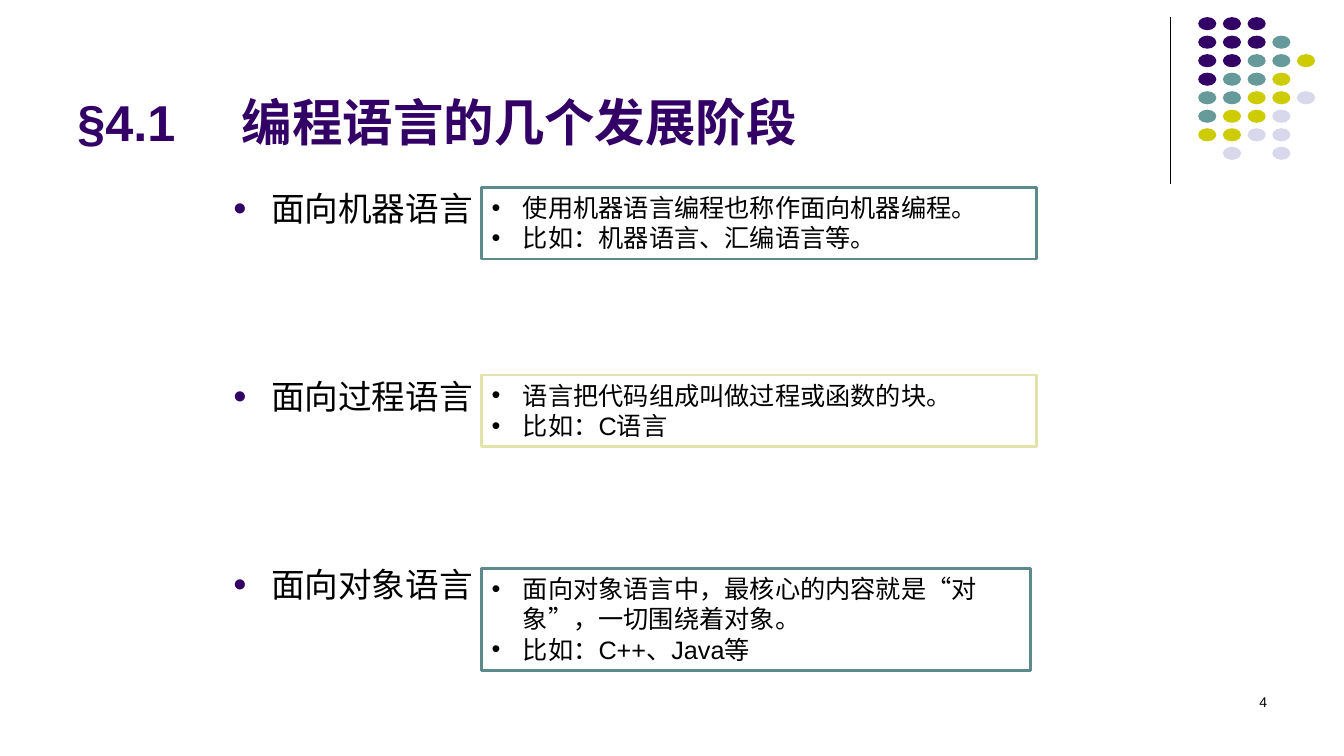
from dataclasses import dataclass

from lxml import etree
from pptx import Presentation
from pptx import util as u
from pptx.dml import color
from pptx.enum import shapes, text
from pptx.oxml import ns


@dataclass(frozen=True)
class Theme:
    font: str = "Arial"
    white: str = "FFFFFF"
    black: str = "000000"
    purple: str = "330066"
    teal: str = "669999"
    lime: str = "CCCC00"
    lavender: str = "D8D8EC"
    teal_frame: str = "5C8A8A"
    lime_frame: str = "E2E2AA"
    title_size: int = 36
    stage_size: int = 24
    detail_size: int = 18
    number_size: int = 10


@dataclass(frozen=True)
class Area:
    column: float
    row: float
    columns: float
    rows: float

    def lengths(self) -> tuple[int, int, int, int]:
        return across(self.column), down(self.row), across(self.columns), down(self.rows)


@dataclass(frozen=True)
class Bullet:
    character: str
    colour: str
    percent: int
    indent: float


@dataclass(frozen=True)
class Stage:
    name: str
    details: tuple[str, str]
    area: Area
    frame: str


THEME = Theme()
SLIDE_WIDTH = u.Inches(13.33)
SLIDE_HEIGHT = u.Inches(7.5)
GRID_COLUMNS = 40
GRID_ROWS = 30

TITLE_AREA = Area(2, 0.52, 33, 5.68)
TITLE_TAB = 4.9
BODY_AREA = Area(6.63, 7.24, 26.73, 19.68)
NUMBER_AREA = Area(28.68, 27.32, 9.33, 2)
RULE = Area(34.83, 0.68, 0, 6.64)
FIRST_DOT = Area(35.66, 0.68, 0.54, 0.52)
DOT_STEP = 0.735
STAGE_GAP = 105.5

STAGE_BULLET = Bullet("●", THEME.purple, 70, 1.14)
DETAIL_BULLET = Bullet("•", THEME.black, 100, 0.93)

DOT_COLOURS = {"P": THEME.purple, "T": THEME.teal, "L": THEME.lime, "V": THEME.lavender}
DOT_ROWS = ("PPP", "PPPT", "PPTTL", "PTTL", "TTLLV", "TLLV", "LLVV", " V V")

STAGES = (
    Stage("面向机器语言",
          ("使用机器语言编程也称作面向机器编程。", "比如：机器语言、汇编语言等。"),
          Area(14.34, 7.44, 16.5, 2.84), THEME.teal_frame),
    Stage("面向过程语言",
          ("语言把代码组成叫做过程或函数的块。", "比如：C语言"),
          Area(14.34, 14.88, 16.5, 2.84), THEME.lime_frame),
    Stage("面向对象语言",
          ("面向对象语言中，最核心的内容就是“对象”，一切围绕着对象。", "比如：C++、Java等"),
          Area(14.34, 22.56, 16.32, 4.04), THEME.teal_frame),
)


def across(columns: float) -> int:
    return round(SLIDE_WIDTH * columns / GRID_COLUMNS)


def down(rows: float) -> int:
    return round(SLIDE_HEIGHT * rows / GRID_ROWS)


def rgb(value: str) -> color.RGBColor:
    return color.RGBColor.from_string(value)


def place(shape, area: Area) -> None:
    shape.left, shape.top, shape.width, shape.height = area.lengths()


def prepare_frame(frame, anchor=text.MSO_ANCHOR.TOP) -> None:
    frame.word_wrap = True
    frame.auto_size = text.MSO_AUTO_SIZE.NONE
    frame.vertical_anchor = anchor


def add_text(paragraph, words: str, size: int, colour: str = THEME.black,
             bold: bool = False, alignment=text.PP_ALIGN.LEFT) -> None:
    paragraph.alignment = alignment
    paragraph.space_before = u.Pt(0)
    run = paragraph.add_run()
    run.text = words
    run.font.name = THEME.font
    run.font.size = u.Pt(size)
    run.font.bold = bold
    run.font.color.rgb = rgb(colour)


def add_child(parent, tag: str, **attributes: str):
    return etree.SubElement(parent, ns.qn(tag), **attributes)


def set_bullet(paragraph, bullet: Bullet) -> None:
    properties = paragraph._p.get_or_add_pPr()
    properties.set("marL", str(across(bullet.indent)))
    properties.set("indent", str(-across(bullet.indent)))
    add_child(add_child(properties, "a:buClr"), "a:srgbClr", val=bullet.colour)
    add_child(properties, "a:buSzPct", val=str(bullet.percent * 1000))
    add_child(properties, "a:buFont", typeface=THEME.font)
    add_child(properties, "a:buChar", char=bullet.character)


def add_list(frame, items: tuple[str, ...], size: int, bullet: Bullet, gap: float = 0) -> None:
    for index, words in enumerate(items):
        paragraph = frame.add_paragraph() if index else frame.paragraphs[0]
        add_text(paragraph, words, size)
        if index:
            paragraph.space_before = u.Pt(gap)
        set_bullet(paragraph, bullet)


def draw_rule(slide) -> None:
    left, top, width, height = RULE.lengths()
    rule = slide.shapes.add_connector(
        shapes.MSO_CONNECTOR.STRAIGHT, left, top, left + width, top + height)
    rule.line.color.rgb = rgb(THEME.black)
    rule.line.width = u.Pt(0.75)
    add_child(rule._element.spPr, "a:effectLst")


def draw_dots(slide) -> None:
    group = slide.shapes.add_group_shape()
    for row, keys in enumerate(DOT_ROWS):
        for column, key in enumerate(keys):
            if key not in DOT_COLOURS:
                continue
            area = Area(FIRST_DOT.column + column * DOT_STEP, FIRST_DOT.row + row * DOT_STEP,
                        FIRST_DOT.columns, FIRST_DOT.rows)
            dot = group.shapes.add_shape(shapes.MSO_SHAPE.OVAL, *area.lengths())
            dot.shadow.inherit = False
            dot.fill.solid()
            dot.fill.fore_color.rgb = rgb(DOT_COLOURS[key])
            dot.line.fill.background()


def write_title(slide) -> None:
    title = slide.shapes.title
    place(title, TITLE_AREA)
    prepare_frame(title.text_frame, text.MSO_ANCHOR.BOTTOM)
    paragraph = title.text_frame.paragraphs[0]
    for words in ("§4.1\t", "编程语言的几个发展阶段"):
        add_text(paragraph, words, THEME.title_size, THEME.purple, bold=True)
    tabs = add_child(paragraph._p.get_or_add_pPr(), "a:tabLst")
    add_child(tabs, "a:tab", pos=str(across(TITLE_TAB)), algn="l")


def write_stages(slide) -> None:
    body = slide.placeholders[1]
    place(body, BODY_AREA)
    prepare_frame(body.text_frame)
    names = tuple(stage.name for stage in STAGES)
    add_list(body.text_frame, names, THEME.stage_size, STAGE_BULLET, STAGE_GAP)


def draw_details(slide, stage: Stage) -> None:
    box = slide.shapes.add_shape(shapes.MSO_SHAPE.RECTANGLE, *stage.area.lengths())
    box.shadow.inherit = False
    box.fill.solid()
    box.fill.fore_color.rgb = rgb(THEME.white)
    box.line.color.rgb = rgb(stage.frame)
    box.line.width = u.Pt(2)
    prepare_frame(box.text_frame)
    add_list(box.text_frame, stage.details, THEME.detail_size, DETAIL_BULLET)


def write_number(slide) -> None:
    frame = slide.shapes.add_textbox(*NUMBER_AREA.lengths()).text_frame
    prepare_frame(frame)
    add_text(frame.paragraphs[0], "4", THEME.number_size, alignment=text.PP_ALIGN.RIGHT)


def main() -> None:
    presentation = Presentation()
    presentation.slide_width = SLIDE_WIDTH
    presentation.slide_height = SLIDE_HEIGHT
    slide = presentation.slides.add_slide(presentation.slide_layouts[1])
    draw_rule(slide)
    draw_dots(slide)
    write_title(slide)
    write_stages(slide)
    write_number(slide)
    for stage in STAGES:
        draw_details(slide, stage)
    presentation.save("out.pptx")


if __name__ == "__main__":
    main()
